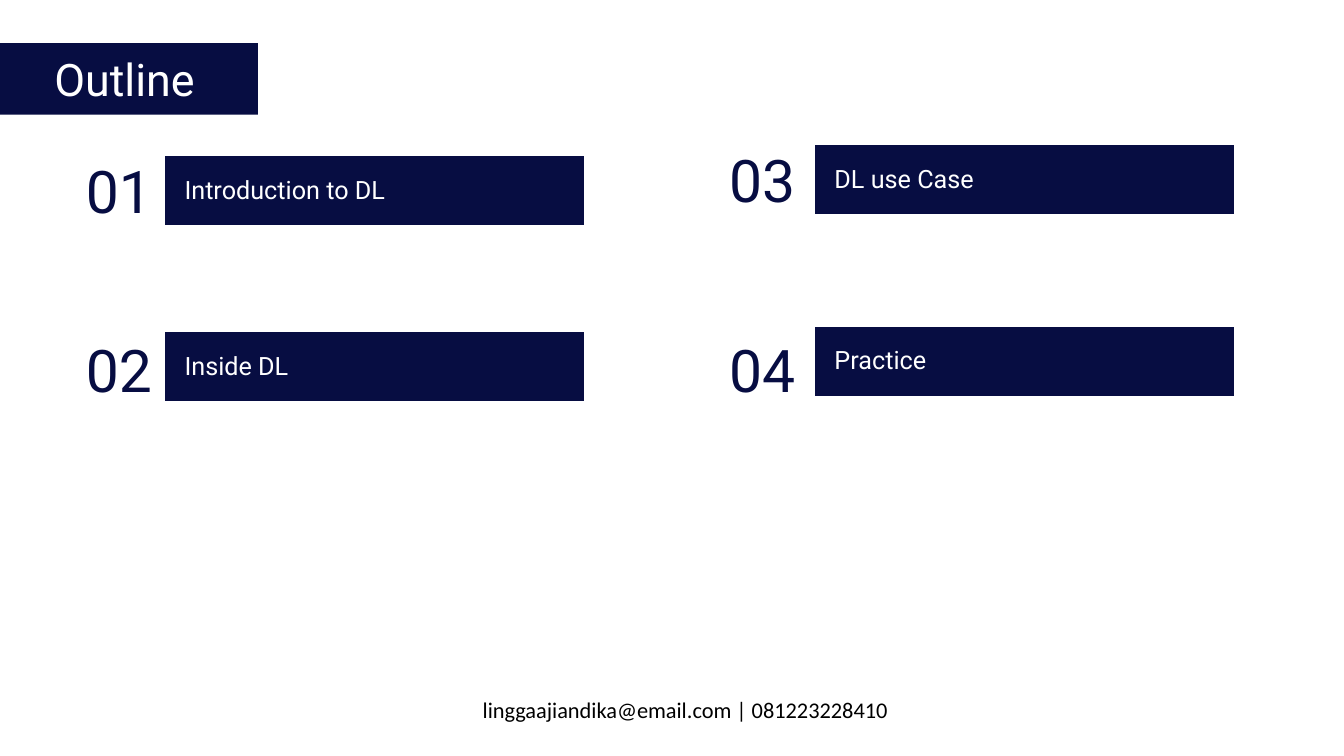
import dataclasses

import pptx
import pptx.dml.color
import pptx.enum.shapes
import pptx.enum.text
import pptx.oxml
import pptx.oxml.ns
import pptx.util

Cm = pptx.util.Cm
Pt = pptx.util.Pt
Align = pptx.enum.text.PP_ALIGN
Anchor = pptx.enum.text.MSO_ANCHOR
COLORS = {"navy": "070D42", "white": "FFFFFF", "black": "000000"}


@dataclasses.dataclass
class Topic:
    num: str
    name: str
    left: float
    num_top: float
    bar_left: float
    bar_top: float


TOPICS = [
    Topic("01", "Introduction to DL", 1.57, 3.89, 4.17, 3.94),
    Topic("02", "Inside DL", 1.57, 8.41, 4.17, 8.36),
    Topic("03", "DL use Case", 17.78, 3.61, 20.55, 3.66),
    Topic("04", "Practice", 17.78, 8.41, 20.55, 8.23),
]


def color(name: str) -> pptx.dml.color.RGBColor:
    return pptx.dml.color.RGBColor.from_string(COLORS[name])


def write(frame, text: str, size: int, ink: str, align=Align.LEFT,
          face: str = "Roboto") -> None:
    frame.text = text
    para = frame.paragraphs[0]
    para.alignment = align
    para.font.size = Pt(size)
    para.font.name = face
    para.font.color.rgb = color(ink)


def set_edges(cell) -> None:
    """Leave only a thin white line under the cell."""
    props = cell._tc.get_or_add_tcPr()
    paint = f'<a:solidFill><a:srgbClr val="{COLORS["white"]}"/></a:solidFill>'
    for spot, side in enumerate("LRTB"):
        fill = paint if side == "B" else "<a:noFill/>"
        props.insert(spot, pptx.oxml.parse_xml(
            f'<a:ln{side} {pptx.oxml.ns.nsdecls("a")} w="{Pt(0.75)}">'
            f'{fill}</a:ln{side}>'))


def draw_title(slide, text: str) -> None:
    shape = slide.shapes.add_shape(
        pptx.enum.shapes.MSO_SHAPE.RECTANGLE, 0, Cm(1.09), Cm(6.5), Cm(1.8))
    shape.shadow.inherit = False
    shape.fill.solid()
    shape.fill.fore_color.rgb = color("navy")
    shape.line.fill.background()
    frame = shape.text_frame
    frame.margin_left = Cm(1.37)
    frame.vertical_anchor = Anchor.MIDDLE
    write(frame, text, 32, "white")


def draw_topic(slide, topic: Topic) -> None:
    box = slide.shapes.add_textbox(
        Cm(topic.left), Cm(topic.num_top), Cm(2.26), Cm(1.83))
    frame = box.text_frame
    frame.word_wrap = True
    frame.margin_left = frame.margin_right = 0
    frame.margin_top = frame.margin_bottom = 0
    write(frame, topic.num, 42, "navy", Align.RIGHT)

    table = slide.shapes.add_table(
        1, 1, Cm(topic.bar_left), Cm(topic.bar_top), Cm(10.54), Cm(1.75)).table
    table.first_row = table.horz_banding = False
    cell = table.cell(0, 0)
    cell.fill.solid()
    cell.fill.fore_color.rgb = color("navy")
    cell.vertical_anchor = Anchor.MIDDLE
    cell.margin_left, cell.margin_right = Cm(0.48), Cm(0.18)
    cell.margin_top = cell.margin_bottom = 0
    set_edges(cell)
    write(cell.text_frame, topic.name, 18, "white")


def draw_foot(slide, text: str) -> None:
    box = slide.shapes.add_textbox(Cm(11.86), Cm(17.42), Cm(10.82), Cm(0.94))
    box.text_frame.word_wrap = False
    write(box.text_frame, text, 16, "black", Align.CENTER, "Calibri")


def main() -> None:
    deck = pptx.Presentation()
    deck.slide_width, deck.slide_height = Cm(33.87), Cm(19.05)
    slide = deck.slides.add_slide(deck.slide_layouts[6])
    draw_title(slide, "Outline")
    for topic in TOPICS:
        draw_topic(slide, topic)
    draw_foot(slide, "linggaajiandika@email.com | 081223228410")
    deck.save("out.pptx")


if __name__ == "__main__":
    main()
